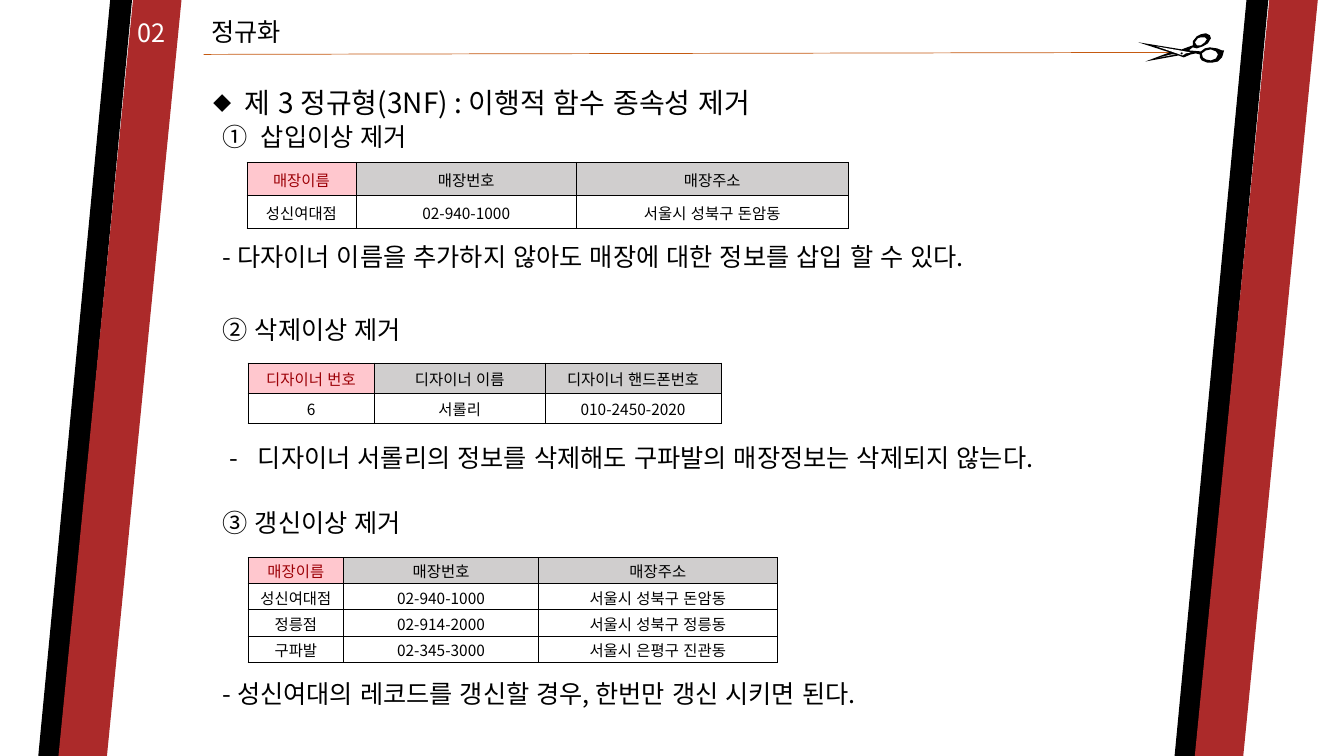
from dataclasses import dataclass
from typing import Optional

from lxml.etree import SubElement
from pptx import Presentation
from pptx.dml.color import RGBColor
from pptx.enum.lang import MSO_LANGUAGE_ID
from pptx.enum.shapes import MSO_CONNECTOR, MSO_SHAPE
from pptx.enum.text import MSO_ANCHOR, MSO_AUTO_SIZE, PP_ALIGN
from pptx.oxml.ns import qn
from pptx.util import Inches, Pt

FONT = "Noto Sans CJK KR"
BLACK = RGBColor(0x00, 0x00, 0x00)
WHITE = RGBColor(0xFF, 0xFF, 0xFF)
RED = RGBColor(0xAC, 0x2A, 0x2A)
ORANGE = RGBColor(0xC5, 0x5A, 0x11)
KEY_TEXT = RGBColor(0x9C, 0x00, 0x06)
KEY_FILL = RGBColor(0xFF, 0xC7, 0xCE)
HEADER_FILL = RGBColor(0xD0, 0xCE, 0xCE)

Points = list[tuple[float, float]]


@dataclass
class Bullet:
    tag: str
    attribute: str
    value: str
    percent: int = 100


@dataclass
class TextLine:
    text: str
    left: float
    top: float
    width: float
    height: float = 0.4
    size: float = 18
    color: RGBColor = BLACK
    wrap: bool = True
    hanging: float = 0
    bullet: Optional[Bullet] = None


@dataclass
class DataTable:
    left: float
    top: float
    row_height: float
    widths: list[float]
    rows: list[list[str]]


@dataclass
class Outline:
    color: RGBColor
    contours: list[Points]


TEXT_LINES = [
    TextLine("정규화", 2, 0.11, 0.96, wrap=False),
    TextLine("02", 1.27, 0.12, 0.5, color=WHITE, wrap=False),
    TextLine("제 3 정규형(3NF) : 이행적 함수 종속성 제거", 2.02, 0.8, 5.99, 0.44, size=20,
             hanging=0.31, bullet=Bullet("a:buChar", "char", "◆", percent=65)),
    TextLine("삽입이상 제거", 2.11, 1.15, 2.2, hanging=0.38,
             bullet=Bullet("a:buAutoNum", "type", "circleNumDbPlain")),
    TextLine("② 삭제이상 제거", 2.11, 3.07, 2.2),
    TextLine("③ 갱신이상 제거", 2.11, 4.98, 2.2),
    TextLine("- 다자이너 이름을 추가하지 않아도 매장에 대한 정보를 삽입 할 수 있다.", 2.11, 2.34, 9.2),
    TextLine("-\t디자이너 서롤리의 정보를 삭제해도 구파발의 매장정보는 삭제되지 않는다.",
             2.18, 4.34, 9.29, hanging=0.28),
    TextLine("- 성신여대의 레코드를 갱신할 경우, 한번만 갱신 시키면 된다.", 2.11, 6.68, 9.29),
]

STORE_HEADER = ["매장이름", "매장번호", "매장주소"]
FIRST_STORE = ["성신여대점", "02-940-1000", "서울시 성북구 돈암동"]
TABLES = [
    DataTable(2.45, 1.61, 0.33, [1.08, 2.19, 2.69], [STORE_HEADER, FIRST_STORE]),
    DataTable(2.46, 3.6, 0.3, [1.25, 1.7, 1.74], [
        ["디자이너 번호", "디자이너 이름", "디자이너 핸드폰번호"],
        ["6", "서롤리", "010-2450-2020"],
    ]),
    DataTable(2.46, 5.53, 0.26, [0.95, 1.93, 2.37], [
        STORE_HEADER,
        FIRST_STORE,
        ["정릉점", "02-914-2000", "서울시 성북구 정릉동"],
        ["구파발", "02-345-3000", "서울시 은평구 진관동"],
    ]),
]

SCISSORS_BODY: Points = [
    (12.14, 0.5), (12.13, 0.54), (12.12, 0.57), (12.08, 0.61), (12.03, 0.62), (11.97, 0.62),
    (11.92, 0.6), (11.9, 0.57), (11.9, 0.54), (11.86, 0.53), (11.81, 0.54), (11.74, 0.57),
    (11.69, 0.55), (11.36, 0.61), (11.6, 0.52), (11.29, 0.42), (11.72, 0.49), (11.83, 0.45),
    (11.83, 0.41), (11.87, 0.36), (11.91, 0.34), (11.96, 0.33), (12, 0.35), (12.01, 0.38),
    (11.98, 0.43), (11.93, 0.46), (11.87, 0.48), (11.83, 0.47), (11.79, 0.5), (11.91, 0.51),
    (11.95, 0.48), (12, 0.47), (12.07, 0.48), (12.12, 0.5),
]
LOWER_HOLE: Points = [
    (11.93, 0.57), (11.96, 0.59), (12.01, 0.6), (12.06, 0.58), (12.08, 0.54),
    (12.06, 0.51), (12.01, 0.49), (11.96, 0.5), (11.92, 0.53),
]
UPPER_HOLE: Points = [
    (11.88, 0.38), (11.85, 0.42), (11.87, 0.45), (11.91, 0.45),
    (11.95, 0.42), (11.97, 0.39), (11.95, 0.37), (11.91, 0.37),
]
SCISSORS = [
    Outline(BLACK, [SCISSORS_BODY, LOWER_HOLE, UPPER_HOLE]),
    Outline(WHITE, [[(11.73, 0.55), (11.47, 0.46), (11.81, 0.52), (11.76, 0.53)]]),
    Outline(WHITE, [[(11.66, 0.54), (11.62, 0.54), (11.5, 0.57)]]),
]


def paint(shape, color: RGBColor) -> None:
    shape.shadow.inherit = False
    shape.fill.solid()
    shape.fill.fore_color.rgb = color
    shape.line.fill.background()


def write_text(paragraph, text: str, *, size: float, color: RGBColor = BLACK) -> None:
    run = paragraph.add_run()
    run.text = text
    run.font.size = Pt(size)
    run.font.color.rgb = color
    run.font.name = FONT
    run.font.language_id = MSO_LANGUAGE_ID.KOREAN
    SubElement(run.font._element, qn("a:ea"), typeface=FONT)


def add_preset(slide, kind, left: float, top: float, width: float, height: float,
               color: RGBColor):
    shape = slide.shapes.add_shape(kind, Inches(left), Inches(top), Inches(width), Inches(height))
    paint(shape, color)
    return shape


def add_side_band(slide, left: float) -> None:
    """Draw a black slanted stripe with a red one over its right part."""
    for offset, width, slant, color in ((0, 0.93, 0.767, BLACK), (0.2, 1.22, 0.606, RED)):
        stripe = add_preset(slide, MSO_SHAPE.PARALLELOGRAM, left + offset, 0, width, 7.5, color)
        stripe.adjustments[0] = slant


def add_title_rule(slide) -> None:
    rule = slide.shapes.add_connector(MSO_CONNECTOR.STRAIGHT, Inches(2.02), Inches(0.54),
                                      Inches(11.69), Inches(0.52))
    rule.line.color.rgb = ORANGE
    rule.line.width = Pt(0.5)
    SubElement(rule._element.spPr, qn("a:effectLst"))


def add_outline(slide, outline: Outline) -> None:
    """Draw the first contour filled, with the other contours as holes."""
    body, *holes = [[(Inches(x), Inches(y)) for x, y in contour] for contour in outline.contours]
    builder = slide.shapes.build_freeform(*body[0])
    builder.add_line_segments(body[1:], close=True)
    for hole in holes:
        builder.move_to(*hole[0])
        builder.add_line_segments(hole[1:], close=True)
    paint(builder.convert_to_shape(), outline.color)


def add_text_line(slide, line: TextLine) -> None:
    box = slide.shapes.add_textbox(Inches(line.left), Inches(line.top),
                                   Inches(line.width), Inches(line.height))
    frame = box.text_frame
    frame.word_wrap = line.wrap
    frame.auto_size = MSO_AUTO_SIZE.SHAPE_TO_FIT_TEXT
    paragraph = frame.paragraphs[0]
    properties = paragraph._p.get_or_add_pPr()
    if line.hanging:
        properties.set("marL", str(Inches(line.hanging)))
        properties.set("indent", str(-Inches(line.hanging)))
    if line.bullet:
        SubElement(properties, qn("a:buSzPct"), val=str(line.bullet.percent * 1000))
        SubElement(properties, qn("a:buFont"), typeface=FONT)
        SubElement(properties, qn(line.bullet.tag), {line.bullet.attribute: line.bullet.value})
    write_text(paragraph, line.text, size=line.size, color=line.color)


def add_borders(cell) -> None:
    properties = cell._tc.get_or_add_tcPr()
    for position, side in enumerate(("a:lnL", "a:lnR", "a:lnT", "a:lnB")):
        border = properties.makeelement(qn(side), {"w": str(Pt(0.5))})
        properties.insert(position, border)
        SubElement(SubElement(border, qn("a:solidFill")), qn("a:srgbClr"), val=str(BLACK))


def add_data_table(slide, data: DataTable) -> None:
    table = slide.shapes.add_table(
        len(data.rows), len(data.widths), Inches(data.left), Inches(data.top),
        Inches(sum(data.widths)), Inches(data.row_height * len(data.rows))).table
    table.first_row = table.horz_banding = False
    for column, width in zip(table.columns, data.widths):
        column.width = Inches(width)
    for row_index, texts in enumerate(data.rows):
        for column_index, text in enumerate(texts):
            cell = table.cell(row_index, column_index)
            is_key = row_index == 0 and column_index == 0
            if row_index == 0:
                cell.fill.solid()
                cell.fill.fore_color.rgb = KEY_FILL if is_key else HEADER_FILL
            else:
                cell.fill.background()
            add_borders(cell)
            cell.vertical_anchor = MSO_ANCHOR.MIDDLE
            cell.margin_left = cell.margin_right = cell.margin_top = Inches(0.01)
            cell.margin_bottom = 0
            paragraph = cell.text_frame.paragraphs[0]
            paragraph.alignment = PP_ALIGN.CENTER
            write_text(paragraph, text, size=11, color=KEY_TEXT if is_key else BLACK)


def main() -> None:
    presentation = Presentation()
    presentation.slide_width, presentation.slide_height = Inches(13.33), Inches(7.5)
    slide = presentation.slides.add_slide(presentation.slide_layouts[6])
    for left in (0.38, 11.65):
        add_side_band(slide, left)
    add_title_rule(slide)
    for outline in SCISSORS:
        add_outline(slide, outline)
    add_preset(slide, MSO_SHAPE.OVAL, 11.71, 0.52, 0.02, 0.02, BLACK)
    for line in TEXT_LINES:
        add_text_line(slide, line)
    for data in TABLES:
        add_data_table(slide, data)
    presentation.save("out.pptx")


if __name__ == "__main__":
    main()
